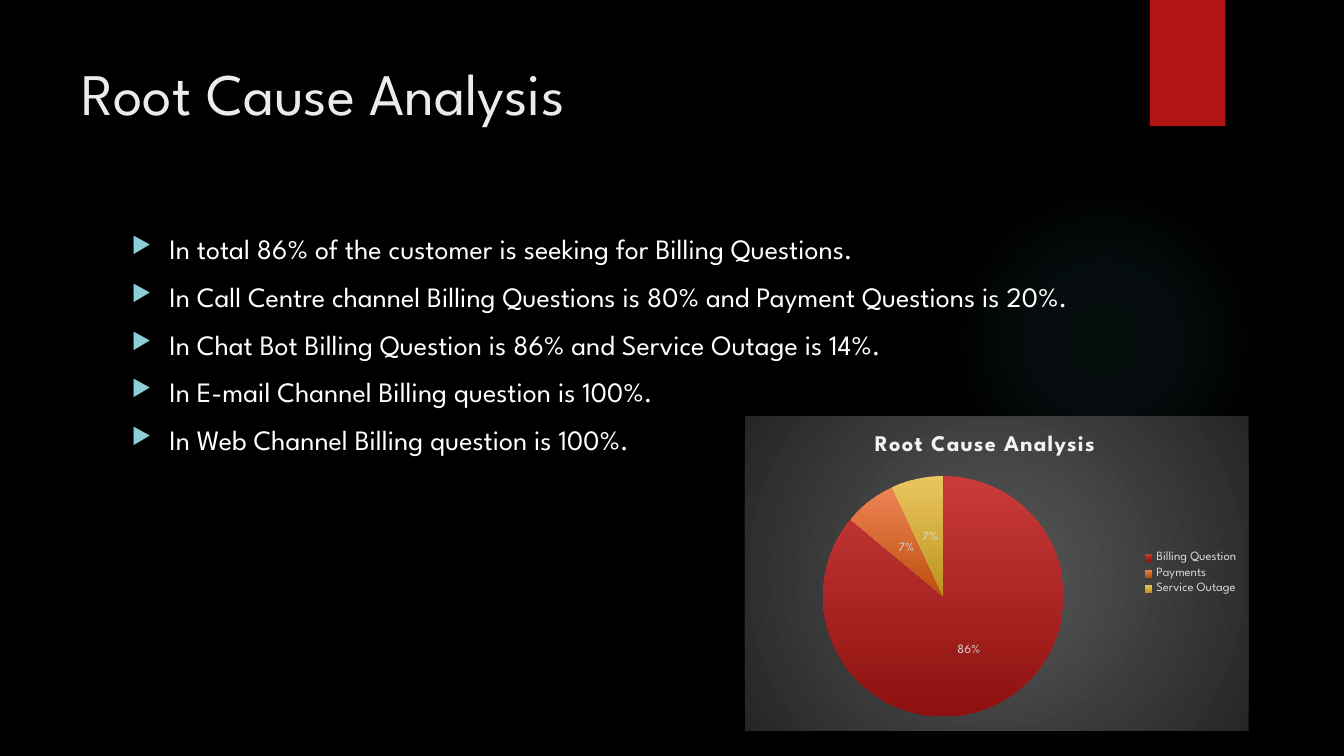
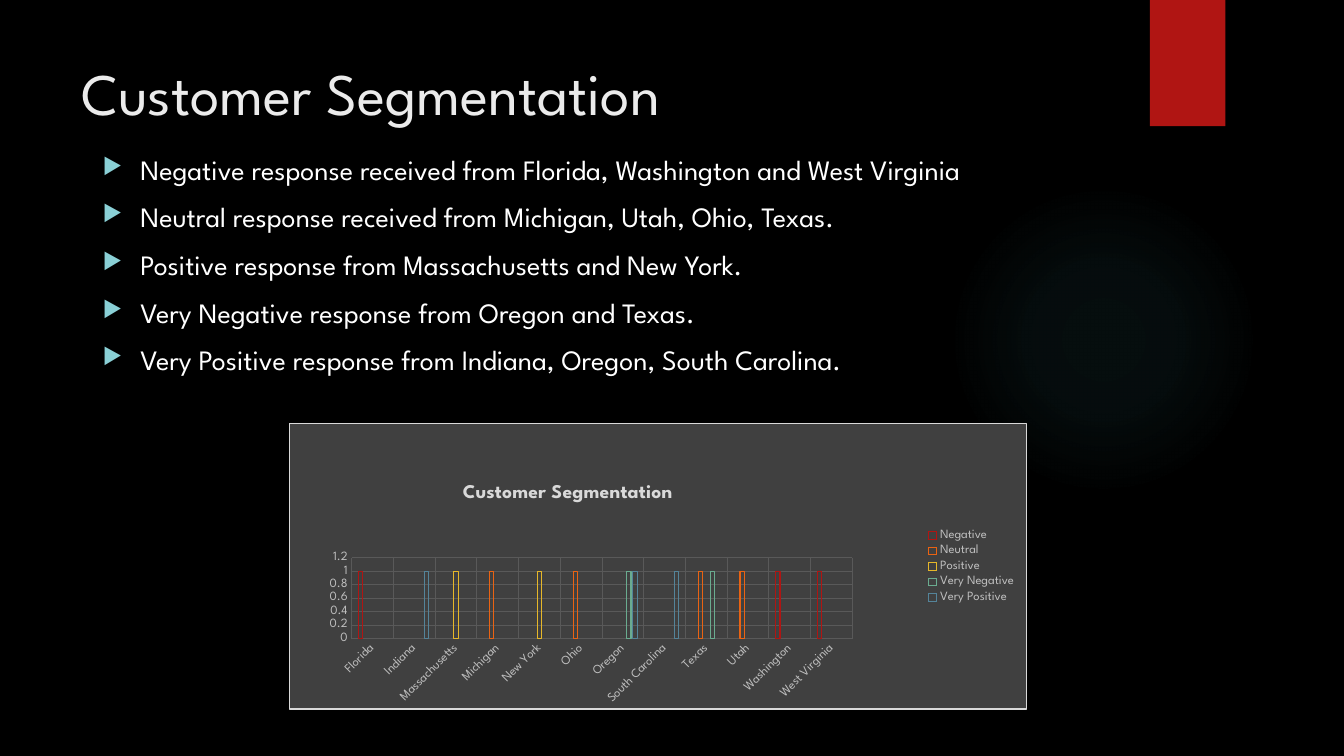
from lxml import etree
from pptx import Presentation
from pptx.chart.data import CategoryChartData
from pptx.dml.color import RGBColor
from pptx.enum.chart import XL_CHART_TYPE as ChartKind
from pptx.enum.chart import XL_LABEL_POSITION as LabelSpot
from pptx.enum.chart import XL_LEGEND_POSITION as LegendSpot
from pptx.enum.chart import XL_TICK_MARK as TickMark
from pptx.enum.shapes import MSO_SHAPE as Preset
from pptx.oxml import parse_xml
from pptx.oxml.ns import nsdecls, qn
from pptx.util import Cm, Pt

FONT = "League Spartan"
BLACK, WHITE, RED, TEAL = "000000", "FFFFFF", "B01513", "50B9C1"
TITLE, BULLET, LABEL, AXIS = "EBEBEB", "8AD0D6", "D9D9D9", "BFBFBF"
PANEL, GRID = "404040", "595959"

ROOT_CAUSES = [
    "In total 86% of the customer is seeking for Billing Questions.",
    "In Call Centre channel Billing Questions is 80% and Payment Questions is 20%.",
    "In Chat Bot Billing Question is 86% and Service Outage is 14%.",
    "In E-mail Channel Billing question is 100%.",
    "In Web Channel Billing question is 100%.",
]
RESPONSES = [
    "Negative response received from Florida, Washington and West Virginia",
    "Neutral response received from Michigan, Utah, Ohio, Texas.",
    "Positive response from Massachusetts and New York.",
    "Very Negative response from Oregon and Texas.",
    "Very Positive response from Indiana, Oregon, South Carolina.",
]
CAUSES = [
    ("Billing Question", 86, "C93B3A", "8D110F"),
    ("Payments", 7, "EE8455", "BC4F0E"),
    ("Service Outage", 7, "EBC65F", "BB941F"),
]
SEGMENTS = [
    ("Negative", RED, ["Florida", "Washington", "West Virginia"]),
    ("Neutral", "EA6312", ["Michigan", "Ohio", "Texas", "Utah"]),
    ("Positive", "E6B729", ["Massachusetts", "New York"]),
    ("Very Negative", "6AAC90", ["Oregon", "Texas"]),
    ("Very Positive", "54849A", ["Indiana", "Oregon", "South Carolina"]),
]


def rgb(value):
    return RGBColor.from_string(value)


def apply(target, **values):
    for name, value in values.items():
        setattr(target, name, value)


def set_font(font, size, color, bold=False):
    apply(font, name=FONT, size=Pt(size), bold=bold)
    font.color.rgb = rgb(color)


def set_fill(fill, color):
    fill.solid()
    fill.fore_color.rgb = rgb(color)


def set_line(line, color, width=0.75):
    set_fill(line.fill, color)
    line.width = Pt(width)


def radial_fill(stops):
    marks = "".join(
        f'<a:gs pos="{pos * 1000}"><a:srgbClr val="{rgb(color)}">'
        f'<a:alpha val="{alpha * 1000}"/></a:srgbClr></a:gs>'
        for pos, color, alpha in stops
    )
    return parse_xml(
        f'<a:gradFill {nsdecls("a")} rotWithShape="1"><a:gsLst>{marks}</a:gsLst>'
        '<a:path path="circle"><a:fillToRect l="50000" t="50000" r="50000" b="50000"/>'
        "</a:path></a:gradFill>"
    )


def solid_fill(color):
    return parse_xml(
        f'<a:solidFill {nsdecls("a")}><a:srgbClr val="{rgb(color)}"/></a:solidFill>'
    )


def add_block(page, preset, area):
    block = page.shapes.add_shape(preset, *map(Cm, area))
    block.shadow.inherit = False
    block.line.fill.background()
    return block


def add_text(page, area):
    frame = page.shapes.add_textbox(*map(Cm, area)).text_frame
    frame.word_wrap = True
    return frame


def add_page(deck, title):
    page = deck.slides.add_slide(deck.slide_layouts[6])
    set_fill(page.background.fill, BLACK)
    glow = add_block(page, Preset.OVAL, (23.9, 4.65, 7.82, 7.82))
    glow.fill.background()
    empty = glow.element.spPr.find(qn("a:noFill"))
    empty.getparent().replace(
        empty, radial_fill([(0, TEAL, 7), (36, TEAL, 6), (69, TEAL, 0)])
    )
    set_fill(add_block(page, Preset.RECTANGLE, (28.98, 0, 1.9, 3.18)).fill, RED)
    span = add_text(page, (1.8, 1.31, 26.14, 3.85)).paragraphs[0].add_run()
    span.text = title
    set_font(span.font, 42, TITLE)
    return page


def add_bullets(page, area, lines):
    frame = add_text(page, area)
    for index, line in enumerate(lines):
        para = frame.add_paragraph() if index else frame.paragraphs[0]
        para.space_before = Pt(10)
        span = para.add_run()
        span.text = line
        set_font(span.font, 20, WHITE)
        props = para._p.get_or_add_pPr()
        props.set("marL", str(Cm(0.95)))
        props.set("indent", str(-Cm(0.95)))
        tint = etree.SubElement(props, qn("a:buClr"))
        etree.SubElement(tint, qn("a:srgbClr")).set("val", str(rgb(BULLET)))
        etree.SubElement(props, qn("a:buSzPct")).set("val", "80000")
        etree.SubElement(props, qn("a:buChar")).set("char", "▶")


def set_layout(parent, index, **places):
    for old in parent.findall(qn("c:layout")):
        parent.remove(old)
    target = '<c:layoutTarget val="inner"/>' if "w" in places else ""
    modes = "".join(f'<c:{key}Mode val="edge"/>' for key in "xy")
    sizes = "".join(f'<c:{key} val="{value}"/>' for key, value in places.items())
    parent.insert(index, parse_xml(
        f'<c:layout {nsdecls("c")}><c:manualLayout>{target}{modes}{sizes}'
        "</c:manualLayout></c:layout>"
    ))


def add_chart(page, kind, area, data, plot_area, legend_color):
    chart = page.shapes.add_chart(kind, *map(Cm, area), data).chart
    set_font(chart.font, 10, WHITE)
    chart.has_legend = True
    apply(chart.legend, position=LegendSpot.RIGHT, include_in_layout=False)
    set_font(chart.legend.font, 9, legend_color)
    set_layout(chart.element.find(".//" + qn("c:plotArea")), 0, **plot_area)
    return chart


def add_chart_title(chart, text, size, color, x, y, spacing=0):
    title = chart.chart_title
    para = title.text_frame.paragraphs[0]
    span = para.add_run()
    span.text = text
    set_font(span.font, size, color, bold=True)
    span._r.get_or_add_rPr().set("spc", str(spacing))
    set_layout(title.element, 1, x=x, y=y)


def paint_chart(chart, fill, border=None):
    frame = parse_xml(f'<c:spPr {nsdecls("c", "a")}/>')
    frame.append(fill)
    edge = etree.SubElement(frame, qn("a:ln"))
    edge.set("w", str(Pt(0.75)))
    edge.append(solid_fill(border) if border else etree.Element(qn("a:noFill")))
    chart.element.find(qn("c:chart")).addnext(frame)


def add_cause_pie(page):
    data = CategoryChartData()
    data.categories = [name for name, *_ in CAUSES]
    data.add_series("Series 1", [share for _, share, *_ in CAUSES])
    chart = add_chart(page, ChartKind.PIE, (18.77, 10.49, 12.7, 7.92), data,
                      dict(x=0.155, y=0.19, w=0.478, h=0.765), LABEL)
    add_chart_title(chart, "Root Cause Analysis", 16, "F2F2F2", 0.25, 0.04, 100)
    paint_chart(chart, radial_fill([(0, "595959", 100), (100, "262626", 100)]))
    plot = chart.plots[0]
    plot.vary_by_categories = True
    for index, (_, _, *shades) in enumerate(CAUSES):
        slice_format = plot.series[0].points[index].format
        slice_format.line.fill.background()
        slice_format.fill.gradient()
        slice_format.fill.gradient_angle = 270
        for stop, position, shade in zip(slice_format.fill.gradient_stops, (0, 1), shades):
            stop.position = position
            stop.color.rgb = rgb(shade)
    plot.has_data_labels = True
    labels = plot.data_labels
    apply(labels, show_percentage=True, show_value=False, number_format="0%",
          number_format_is_linked=False, position=LabelSpot.CENTER)
    set_font(labels.font, 9, LABEL)


def style_axis(axis):
    apply(axis, has_major_gridlines=True, major_tick_mark=TickMark.NONE,
          minor_tick_mark=TickMark.NONE)
    set_line(axis.major_gridlines.format.line, GRID)
    axis.format.line.fill.background()
    set_font(axis.tick_labels.font, 9, AXIS)


def add_segment_columns(page):
    states = sorted({state for *_, members in SEGMENTS for state in members})
    data = CategoryChartData()
    data.categories = states
    for name, _, members in SEGMENTS:
        data.add_series(name, [1 if state in members else None for state in states])
    chart = add_chart(page, ChartKind.COLUMN_CLUSTERED, (7.29, 10.67, 18.59, 7.21), data,
                      dict(x=0.084, y=0.47, w=0.68, h=0.284), AXIS)
    add_chart_title(chart, "Customer Segmentation", 14, LABEL, 0.23, 0.195)
    paint_chart(chart, solid_fill(PANEL), LABEL)
    plot = chart.plots[0]
    apply(plot, gap_width=315, overlap=-40, vary_by_categories=False)
    for series, (_, color, _) in zip(plot.series, SEGMENTS):
        series.invert_if_negative = False
        series.format.fill.background()
        set_line(series.format.line, color)
    for axis in (chart.category_axis, chart.value_axis):
        style_axis(axis)
    apply(chart.value_axis, minimum_scale=0, maximum_scale=1.2, major_unit=0.2)
    turned = chart.category_axis._element.find(qn("c:txPr")).find(qn("a:bodyPr"))
    turned.set("rot", "-2700000")


def main():
    deck = Presentation()
    apply(deck, slide_width=Cm(33.87), slide_height=Cm(19.05))

    causes = add_page(deck, "Root Cause Analysis")
    add_bullets(causes, (3.07, 5.72, 24.84, 11.66), ROOT_CAUSES)
    add_cause_pie(causes)

    segments = add_page(deck, "Customer Segmentation")
    add_bullets(segments, (2.34, 3.71, 29.21, 15.34), RESPONSES)
    add_segment_columns(segments)

    deck.save("out.pptx")


if __name__ == "__main__":
    main()
